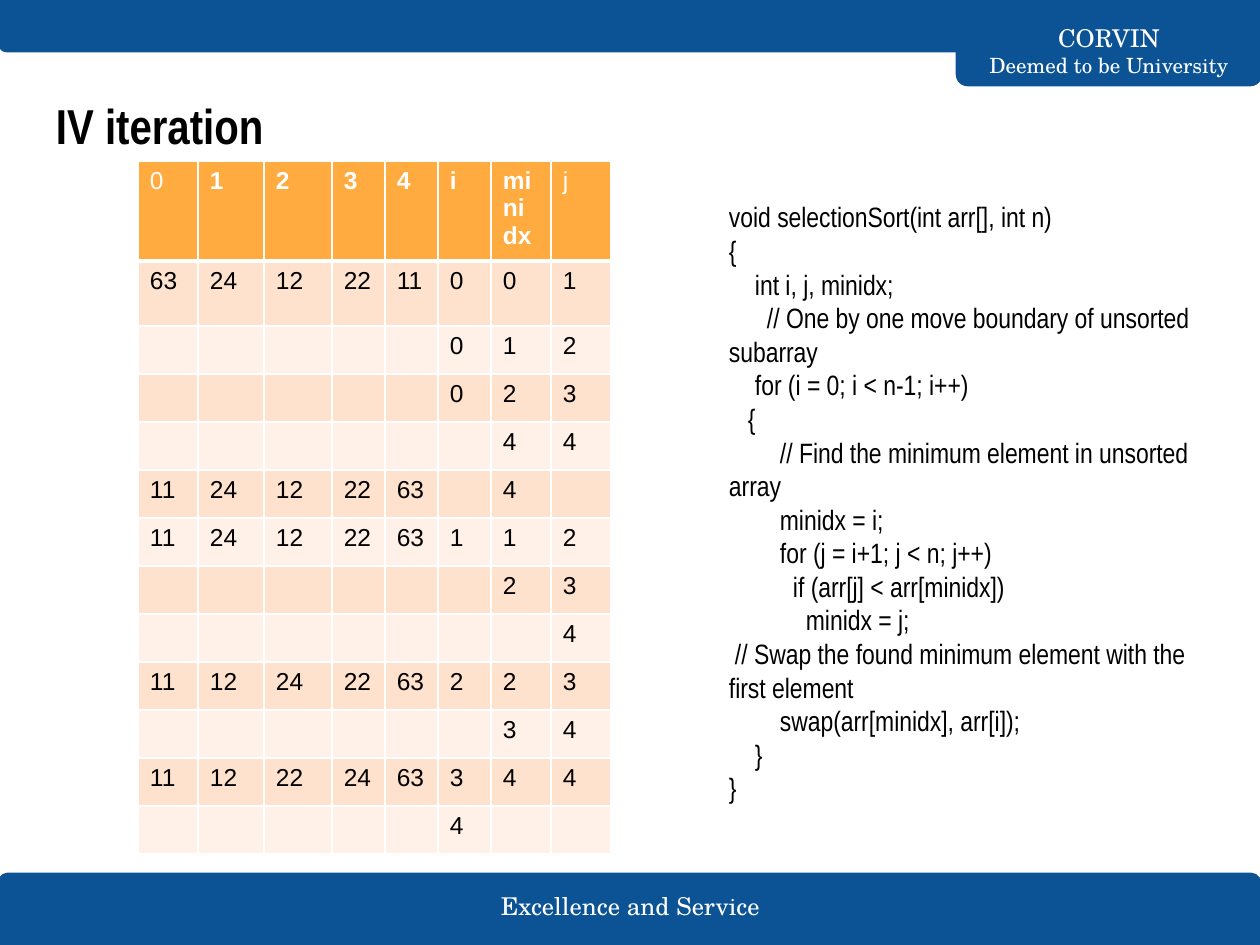
from lxml import etree
from pptx import Presentation
from pptx.dml.color import RGBColor
from pptx.enum.shapes import MSO_SHAPE
from pptx.enum.text import MSO_ANCHOR, PP_ALIGN
from pptx.oxml.ns import qn
from pptx.util import Emu, Pt

PX = 914400 // 126
ROUND_TOP = MSO_SHAPE.ROUND_2_SAME_RECTANGLE
TOP, MIDDLE = MSO_ANCHOR.TOP, MSO_ANCHOR.MIDDLE
LEFT, CENTER = PP_ALIGN.LEFT, PP_ALIGN.CENTER

BLUE = RGBColor(0x0B, 0x53, 0x94)
WHITE = RGBColor(0xFF, 0xFF, 0xFF)
BLACK = RGBColor(0x00, 0x00, 0x00)
ORANGE = RGBColor(0xFF, 0xAB, 0x40)
PEACH = RGBColor(0xFF, 0xE2, 0xCD)
CREAM = RGBColor(0xFF, 0xF1, 0xE8)

SERIF = "TeX Gyre Schola"
SANS = "Arial"
NARROW = "Arial Narrow"
INSET = 13
SPACE_WIDTH = 6.4

HEADINGS = ["0", "1", "2", "3", "4", "i", "minidx", "j"]
LIGHT_HEADINGS = ("0", "j")
STEPS = [
    ["63", "24", "12", "22", "11", "0", "0", "1"],
    ["", "", "", "", "", "0", "1", "2"],
    ["", "", "", "", "", "0", "2", "3"],
    ["", "", "", "", "", "", "4", "4"],
    ["11", "24", "12", "22", "63", "", "4", ""],
    ["11", "24", "12", "22", "63", "1", "1", "2"],
    ["", "", "", "", "", "", "2", "3"],
    ["", "", "", "", "", "", "", "4"],
    ["11", "12", "24", "22", "63", "2", "2", "3"],
    ["", "", "", "", "", "", "3", "4"],
    ["11", "12", "22", "24", "63", "3", "4", "4"],
    ["", "", "", "", "", "4", "", ""],
]
COLUMN_WIDTHS = [60, 66, 68, 53, 53, 53, 60, 60]
ROW_HEIGHTS = [96, 65] + [48] * 11

CODE = [
    (0, "void selectionSort(int arr[], int n)"),
    (0, "{"),
    (4, "int i, j, minidx;"),
    (6, "// One by one move boundary of unsorted subarray"),
    (4, "for (i = 0; i < n-1; i++)"),
    (3, "{"),
    (8, "// Find the minimum element in unsorted array"),
    (8, "minidx = i;"),
    (8, "for (j = i+1; j < n; j++)"),
    (10, "if (arr[j] < arr[minidx])"),
    (12, "minidx = j;"),
    (1, "// Swap the found minimum element with the first element"),
    (8, "swap(arr[minidx], arr[i]);"),
    (4, "}"),
    (0, "}"),
]


def px(length):
    return Emu(round(length) * PX)


def add_span(para, text, font, size, color, bold=False):
    span = para.add_run()
    span.text = text
    span.font.name = font
    span.font.size = Pt(size)
    span.font.bold = bold
    span.font.color.rgb = color


def add_frame(page, box, anchor):
    frame = page.shapes.add_textbox(*map(px, box)).text_frame
    frame.word_wrap = True
    frame.vertical_anchor = anchor
    frame.margin_left = frame.margin_right = px(INSET)
    frame.margin_top = frame.margin_bottom = px(INSET)
    return frame


def add_bar(page, box, rotation):
    bar = page.shapes.add_shape(ROUND_TOP, *map(px, box))
    bar.adjustments[0] = 0.125
    bar.adjustments[1] = 0
    bar.rotation = rotation
    bar.shadow.inherit = False
    bar.fill.solid()
    bar.fill.fore_color.rgb = BLUE
    bar.line.color.rgb = BLUE
    bar.line.width = Pt(1.5)


def add_footer(page, box):
    left, top, width, height = box
    add_bar(page, box, 0)
    para = add_frame(page, (left + 462, top + 12, 339, 40), MIDDLE).paragraphs[0]
    para.alignment = CENTER
    add_span(para, "Excellence and Service", SERIF, 14, WHITE)


def add_header(page, box):
    left, top, width, height = box
    tab_left = left + width - 304
    add_bar(page, (tab_left, top, 304, height), 180)
    add_bar(page, (left, top, width, 51), 180)
    para = add_frame(page, (tab_left, top + 34, 304, 32), MIDDLE).paragraphs[0]
    para.alignment = CENTER
    add_span(para, "CORVIN", SERIF, 14, WHITE)
    para.add_line_break()
    add_span(para, "Deemed to be University", SERIF, 12, WHITE)


def add_title(page, box):
    para = add_frame(page, box, TOP).paragraphs[0]
    para.alignment = LEFT
    add_span(para, "IV iteration", NARROW, 28, BLACK, True)


def add_borders(cell, bottom_width):
    properties = cell._tc.get_or_add_tcPr()
    for side, width in (("L", 1), ("R", 1), ("T", 1), ("B", bottom_width)):
        line = etree.SubElement(properties, qn(f"a:ln{side}"), w=str(Pt(width)))
        fill = etree.SubElement(line, qn("a:solidFill"))
        etree.SubElement(fill, qn("a:srgbClr"), val=str(WHITE))


def fill_cell(cell, text, fill, color, bold, bottom_width):
    add_borders(cell, bottom_width)
    cell.fill.solid()
    cell.fill.fore_color.rgb = fill
    cell.margin_left = cell.margin_right = px(INSET - 1)
    cell.margin_top = cell.margin_bottom = px(6)
    para = cell.text_frame.paragraphs[0]
    if text:
        add_span(para, text, SANS, 14, color, bold)
    else:
        etree.SubElement(para._p, qn("a:endParaRPr"), sz="1400")


def add_trace_table(page, box):
    rows = [HEADINGS] + STEPS
    table = page.shapes.add_table(len(rows), len(HEADINGS), *map(px, box)).table
    table.first_row = table.horz_banding = False
    for column, width in zip(table.columns, COLUMN_WIDTHS):
        column.width = px(width)
    for row, height in zip(table.rows, ROW_HEIGHTS):
        row.height = px(height)
    for row_index, values in enumerate(rows):
        for column_index, value in enumerate(values):
            cell = table.cell(row_index, column_index)
            if row_index == 0:
                fill_cell(cell, value, ORANGE, WHITE, value not in LIGHT_HEADINGS, 3)
            else:
                band = PEACH if row_index % 2 else CREAM
                fill_cell(cell, value, band, BLACK, False, 1)


def add_code(page, box):
    frame = add_frame(page, box, TOP)
    for index, (spaces, text) in enumerate(CODE):
        para = frame.add_paragraph() if index else frame.paragraphs[0]
        para.alignment = LEFT
        properties = para._p.get_or_add_pPr()
        properties.set("marL", str(px(INSET)))
        properties.set("indent", str(px(spaces * SPACE_WIDTH)))
        add_span(para, text, NARROW, 16, BLACK)


def main():
    deck = Presentation()
    deck.slide_width, deck.slide_height = px(1260), px(945)
    page = deck.slides.add_slide(deck.slide_layouts[6])
    add_footer(page, (-1, 874, 1261, 71))
    add_header(page, (0, 0, 1261, 85))
    add_title(page, (43, 82, 1174, 105))
    add_trace_table(page, (138, 161, sum(COLUMN_WIDTHS), sum(ROW_HEIGHTS)))
    add_code(page, (703, 187, 514, 731))
    deck.save("out.pptx")


if __name__ == "__main__":
    main()
